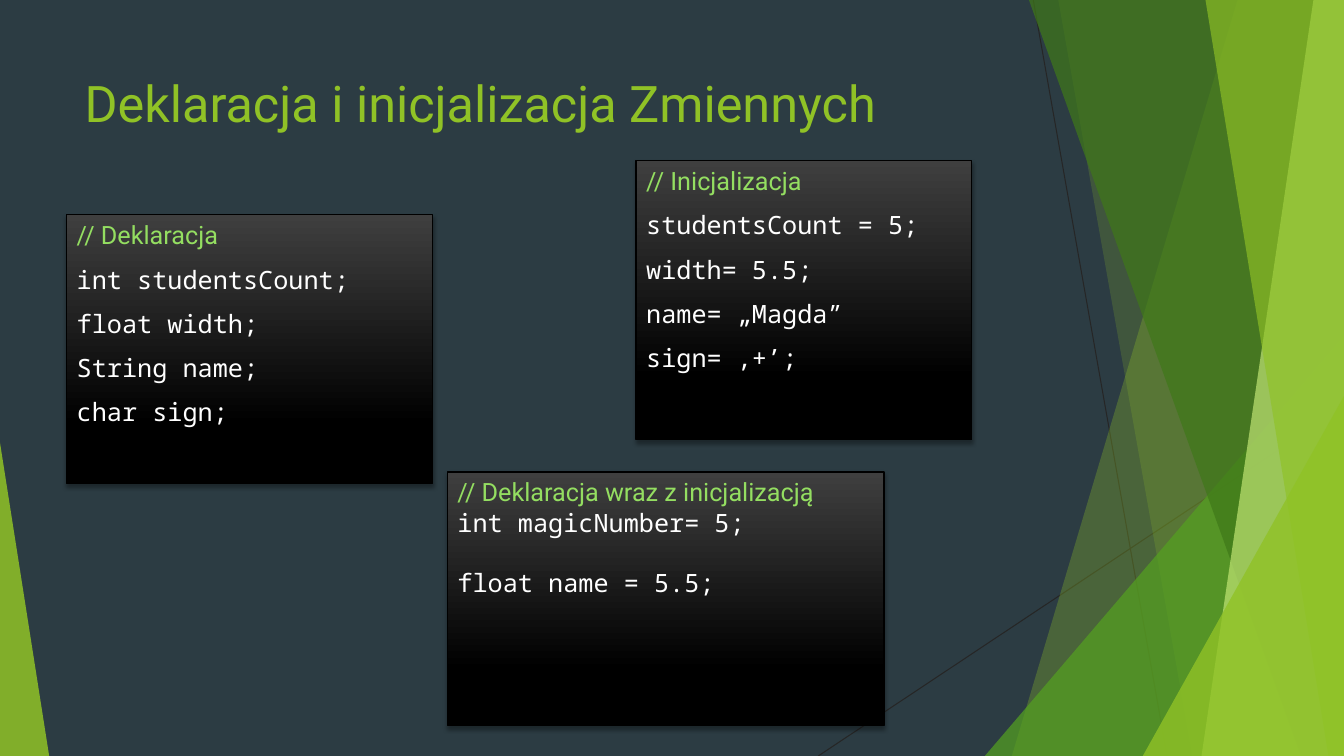
from dataclasses import dataclass

from lxml.etree import SubElement
from pptx import Presentation
from pptx.dml.color import RGBColor
from pptx.enum.shapes import MSO_CONNECTOR, MSO_SHAPE
from pptx.enum.text import MSO_ANCHOR, MSO_AUTO_SIZE, PP_ALIGN
from pptx.oxml.ns import qn
from pptx.util import Cm, Pt


@dataclass(frozen=True)
class Theme:
    background: str = "2C3C43"
    thread: str = "262626"
    lime: str = "90C226"
    green: str = "54A021"
    forest: str = "3F7819"
    pale: str = "C0E474"
    comment: str = "94DE61"
    code: str = "FFFFFF"
    box_top: str = "3F3F3F"
    black: str = "000000"
    text_font: str = "Roboto"
    code_font: str = "Noto Sans Mono"
    title_size: int = 36
    body_size: int = 18


theme = Theme()


def set_font(para, face, size, color):
    for span in para.runs:
        span.font.name = face
        span.font.size = Pt(size)
        span.font.color.rgb = RGBColor.from_string(color)


def paint(shape, color, opacity):
    shape.fill.solid()
    shape.fill.fore_color.rgb = RGBColor.from_string(color)
    shape.line.fill.background()
    shape.shadow.inherit = False
    tint = shape.element.spPr.find(qn("a:solidFill")).find(qn("a:srgbClr"))
    SubElement(tint, qn("a:alpha")).set("val", str(opacity * 1000))


WIDTH, HEIGHT = 33.87, 19.05
deck = Presentation()
deck.slide_width, deck.slide_height = Cm(WIDTH), Cm(HEIGHT)
page = deck.slides.add_slide(deck.slide_layouts[3])
page.background.fill.solid()
page.background.fill.fore_color.rgb = RGBColor.from_string(theme.background)
title, declaration, initialization = page.placeholders

for ends in [(26.04, 0, 29.41, HEIGHT), (WIDTH, 10.24, 20.62, HEIGHT)]:
    thread = page.shapes.add_connector(MSO_CONNECTOR.STRAIGHT, *map(Cm, ends))
    thread.line.color.rgb = RGBColor.from_string(theme.thread)
    thread.line.width = Pt(0.75)
    SubElement(thread.element.spPr, qn("a:effectLst"))

facets = [
    ("panel", (31.19, 25.5), theme.lime, 30),
    ("panel", (26.67, 30.05), theme.lime, 20),
    ("right corner", (9.05, 10.59), theme.green, 72),
    ("panel", (25.93, 32.79), theme.forest, 70),
    ("panel", (33.1, 30.28), theme.pale, 70),
    ("panel", (30.38, 33.48), theme.lime, 65),
    ("right corner", (5.07, 9.07), theme.lime, 80),
    ("left corner", (1.24, 7.9), theme.lime, 85),
]
for kind, measures, color, opacity in facets:
    if kind == "panel":
        top_x, bottom_x = map(Cm, measures)
        outline = page.shapes.build_freeform(top_x, 0)
        outline.add_line_segments(
            [(Cm(WIDTH), 0), (Cm(WIDTH), Cm(HEIGHT)), (bottom_x, Cm(HEIGHT))]
        )
        facet = outline.convert_to_shape()
    else:
        width, height = measures
        on_right = kind == "right corner"
        left = WIDTH - width if on_right else 0
        facet = page.shapes.add_shape(
            MSO_SHAPE.ISOSCELES_TRIANGLE,
            Cm(left), Cm(HEIGHT - height), Cm(width), Cm(height),
        )
        facet.adjustments[0] = 1 if on_right else 0
    paint(facet, color, opacity)

for holder in (title, declaration, initialization):
    holder.element.getparent().append(holder.element)

title.left, title.top, title.width, title.height = map(Cm, (1.88, 1.7, 23.88, 3.66))
title.text_frame.text = "Deklaracja i inicjalizacja Zmiennych"
title.text_frame.vertical_anchor = MSO_ANCHOR.TOP
title.text_frame.auto_size = MSO_AUTO_SIZE.NONE
title.text_frame.paragraphs[0].alignment = PP_ALIGN.LEFT
set_font(title.text_frame.paragraphs[0], theme.text_font, theme.title_size, theme.lime)

combined = page.shapes.add_shape(MSO_SHAPE.RECTANGLE, 0, 0, Cm(1), Cm(1))
code_boxes = [
    (declaration, (1.68, 5.41, 9.22, 6.78), [10] * 5,
     ["// Deklaracja", "int studentsCount;", "float width;", "String name;", "char sign;"]),
    (initialization, (16.03, 4.04, 8.46, 7.04), [10] * 5,
     ["// Inicjalizacja", "studentsCount = 5;", "width= 5.5;", "name= „Magda”", "sign= ‚+’;"]),
    (combined, (11.28, 11.89, 11, 6.4), [0, 0, 21.5],
     ["// Deklaracja wraz z inicjalizacją", "int magicNumber= 5;", "float name = 5.5;"]),
]
for box, bounds, gaps, lines in code_boxes:
    box.left, box.top, box.width, box.height = map(Cm, bounds)
    box.fill.gradient()
    box.fill.gradient_angle = 270
    stops = zip(box.fill.gradient_stops, (0, 0.78), (theme.box_top, theme.black))
    for stop, position, color in stops:
        stop.position = position
        stop.color.rgb = RGBColor.from_string(color)
    box.line.color.rgb = RGBColor.from_string(theme.black)
    box.line.width = Pt(1)
    box.shadow.inherit = False
    effects = box.element.spPr.find(qn("a:effectLst"))
    shadow = SubElement(effects, qn("a:outerShdw"), blurRad=str(Pt(3)),
                        dist=str(Pt(2)), dir="5400000", rotWithShape="0")
    shade = SubElement(shadow, qn("a:srgbClr"), val=theme.black)
    SubElement(shade, qn("a:alpha"), val="35000")

    frame = box.text_frame
    frame.text = "\n".join(lines)
    frame.word_wrap = True
    frame.auto_size = MSO_AUTO_SIZE.NONE
    frame.vertical_anchor = MSO_ANCHOR.TOP
    for number, (para, gap) in enumerate(zip(frame.paragraphs, gaps)):
        para.alignment = PP_ALIGN.LEFT
        para.space_before = Pt(gap)
        if box.is_placeholder:
            properties = para._p.get_or_add_pPr()
            properties.set("marL", str(Cm(0.95)))
            properties.set("indent", str(Cm(-0.95)))
            SubElement(properties, qn("a:buNone"))
        if number == 0:
            set_font(para, theme.text_font, theme.body_size, theme.comment)
        else:
            set_font(para, theme.code_font, theme.body_size, theme.code)

deck.save("out.pptx")
